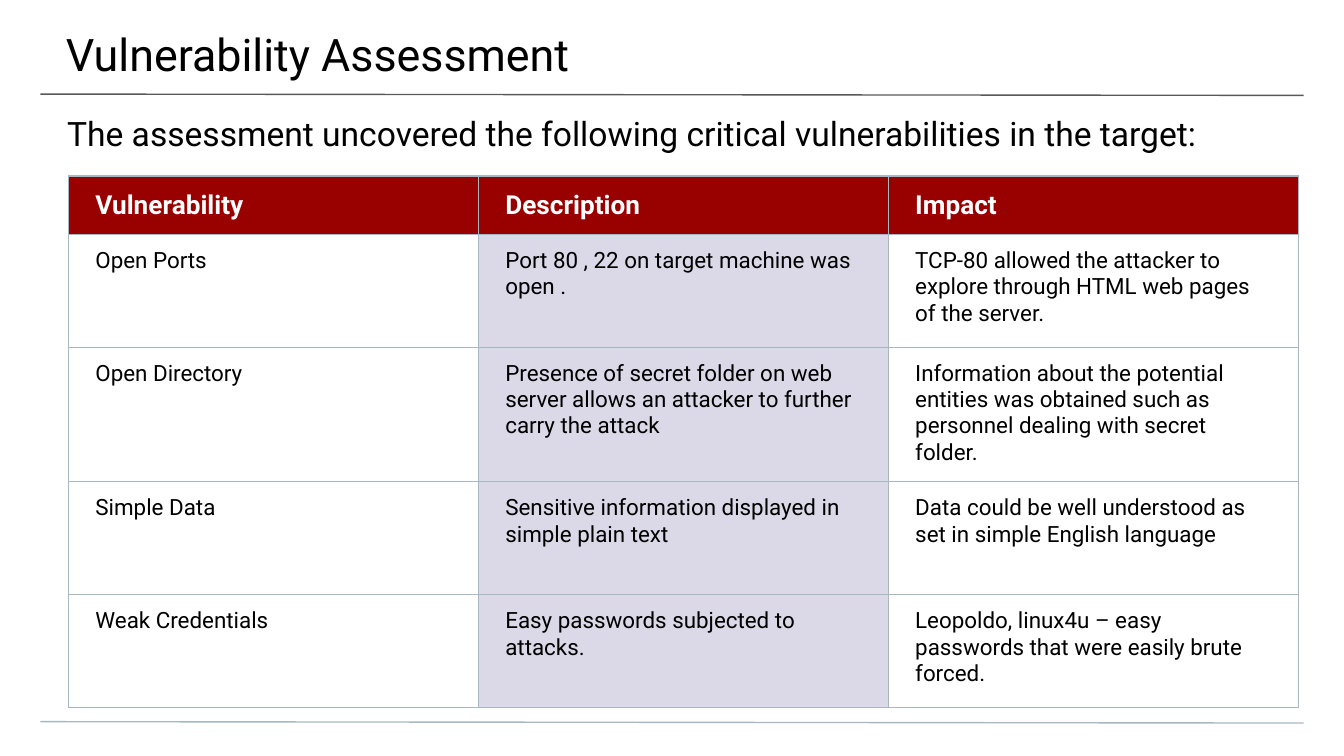
from dataclasses import dataclass

from lxml.etree import SubElement
from pptx import Presentation
from pptx.dml.color import RGBColor
from pptx.enum.shapes import MSO_CONNECTOR
from pptx.enum.text import MSO_ANCHOR
from pptx.oxml.ns import qn
from pptx.util import Inches, Pt


@dataclass(frozen=True)
class Theme:
    font: str = "Roboto"
    text: str = "000000"
    header_text: str = "FFFFFF"
    header_fill: str = "990000"
    column_fill: str = "DBD9E8"
    top_rule: str = "595959"
    grid: str = "A9B7C0"
    title_size: int = 24
    subtitle_size: int = 18
    header_size: int = 14
    body_size: int = 12
    line_width: float = 0.75


@dataclass(frozen=True)
class TextBand:
    text: str
    left: float
    top: float
    width: float
    height: float
    size: int
    margins: dict[str, float]


@dataclass(frozen=True)
class Rule:
    top: float
    color: str


THEME = Theme()
SLIDE_WIDTH = 10
SLIDE_HEIGHT = SLIDE_WIDTH * 9 / 16
RULE_MARGIN = 0.03 * SLIDE_WIDTH
RULE_DROP = 0.01

TABLE_LEFT, TABLE_TOP = 0.51, 1.31
COLUMN_WIDTH = 3.05
HEADER_HEIGHT, ROW_HEIGHT = 0.43, 0.84
SHADED_COLUMN = 1


def margins(left: float, top: float, right: float, bottom: float) -> dict[str, float]:
    return {
        "margin_left": left, "margin_top": top,
        "margin_right": right, "margin_bottom": bottom,
    }


CELL_MARGINS = margins(0.2, 0.1, 0.2, 0.1)
BANDS = [
    TextBand(
        "Vulnerability Assessment",
        -0.01, 0, 10.03, 0.58, THEME.title_size, margins(0.5, 0.2, 0.3, 0.1),
    ),
    TextBand(
        "The assessment uncovered the following critical vulnerabilities in the target:",
        0, 0.74, SLIDE_WIDTH, 0.4, THEME.subtitle_size, margins(0.5, 0.1, 0.5, 0),
    ),
]
RULES = [Rule(0.7, THEME.top_rule), Rule(5.37, THEME.grid)]
ROWS = [
    ("Vulnerability", "Description", "Impact"),
    (
        "Open Ports",
        "Port 80 , 22 on target machine was open .",
        "TCP-80 allowed the attacker to explore through HTML web pages of the server.",
    ),
    (
        "Open Directory",
        "Presence of secret folder on web server allows an attacker to further carry the attack",
        "Information about the potential entities was obtained such as personnel dealing "
        "with secret folder.",
    ),
    (
        "Simple Data",
        "Sensitive information displayed in simple plain text",
        "Data could be well understood as set in simple English language",
    ),
    (
        "Weak Credentials",
        "Easy passwords subjected to attacks.",
        "Leopoldo, linux4u – easy passwords that were easily brute forced.",
    ),
]


def set_margins(target, values: dict[str, float]) -> None:
    for name, value in values.items():
        setattr(target, name, Inches(value))


def write_text(frame, text: str, size: int, color: str, bold: bool = False) -> None:
    span = frame.paragraphs[0].add_run()
    span.text = text
    for name, value in {"name": THEME.font, "size": Pt(size), "bold": bold}.items():
        setattr(span.font, name, value)
    span.font.color.rgb = RGBColor.from_string(color)


def draw_band(page, band: TextBand) -> None:
    box = page.shapes.add_textbox(
        Inches(band.left), Inches(band.top), Inches(band.width), Inches(band.height)
    )
    frame = box.text_frame
    frame.word_wrap = True
    frame.vertical_anchor = MSO_ANCHOR.TOP
    set_margins(frame, band.margins)
    write_text(frame, band.text, band.size, THEME.text)


def draw_rule(page, rule: Rule) -> None:
    line = page.shapes.add_connector(
        MSO_CONNECTOR.STRAIGHT,
        Inches(RULE_MARGIN), Inches(rule.top),
        Inches(SLIDE_WIDTH - RULE_MARGIN), Inches(rule.top + RULE_DROP),
    )
    line.line.color.rgb = RGBColor.from_string(rule.color)
    line.line.width = Pt(THEME.line_width)
    SubElement(line.element.spPr, qn("a:effectLst"))


def add_borders(cell) -> None:
    properties = cell._tc.get_or_add_tcPr()
    # Borders must come before the fill in the cell properties
    for position, side in enumerate(("a:lnL", "a:lnR", "a:lnT", "a:lnB")):
        border = SubElement(properties, qn(side), w=str(Pt(THEME.line_width)))
        fill = SubElement(border, qn("a:solidFill"))
        SubElement(fill, qn("a:srgbClr"), val=THEME.grid)
        properties.insert(position, border)


def fill_cell(cell, text: str, row: int, column: int) -> None:
    header = row == 0
    set_margins(cell, CELL_MARGINS)
    cell.vertical_anchor = MSO_ANCHOR.MIDDLE if header else MSO_ANCHOR.TOP
    if header or column == SHADED_COLUMN:
        cell.fill.solid()
        color = THEME.header_fill if header else THEME.column_fill
        cell.fill.fore_color.rgb = RGBColor.from_string(color)
    else:
        cell.fill.background()
    add_borders(cell)
    write_text(
        cell.text_frame, text,
        THEME.header_size if header else THEME.body_size,
        THEME.header_text if header else THEME.text,
        bold=header,
    )


def draw_table(page, rows: list[tuple[str, ...]]) -> None:
    heights = [HEADER_HEIGHT] + [ROW_HEIGHT] * (len(rows) - 1)
    columns = len(rows[0])
    table = page.shapes.add_table(
        len(rows), columns, Inches(TABLE_LEFT), Inches(TABLE_TOP),
        Inches(columns * COLUMN_WIDTH), Inches(sum(heights)),
    ).table
    table.horz_banding = False
    for column in table.columns:
        column.width = Inches(COLUMN_WIDTH)
    for row, (texts, height) in enumerate(zip(rows, heights)):
        table.rows[row].height = Inches(height)
        for column, text in enumerate(texts):
            fill_cell(table.cell(row, column), text, row, column)


def main() -> None:
    deck = Presentation()
    deck.slide_width, deck.slide_height = Inches(SLIDE_WIDTH), Inches(SLIDE_HEIGHT)
    page = deck.slides.add_slide(deck.slide_layouts[6])

    # Rules above and below the content
    for rule in RULES:
        draw_rule(page, rule)
    # Title and introduction
    for band in BANDS:
        draw_band(page, band)
    # Findings
    draw_table(page, ROWS)

    deck.save("out.pptx")


if __name__ == "__main__":
    main()
